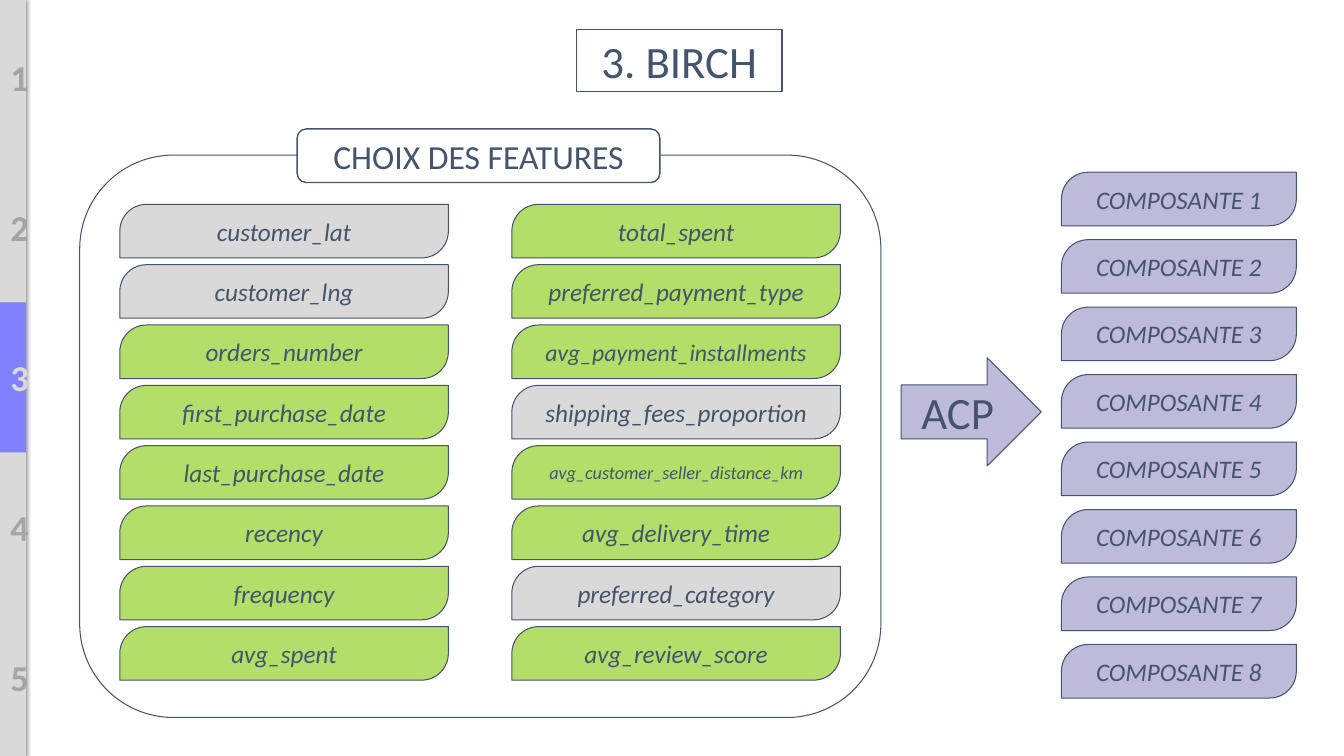
from lxml import etree
from pptx import Presentation
from pptx import util as u
from pptx.dml.color import RGBColor
from pptx.enum import shapes, text
from pptx.oxml import ns

COLORS = {
    "ink": "44546A",
    "white": "FFFFFF",
    "grey": "D9D9D9",
    "number": "A5A5A5",
    "active": "8181FF",
    "green": "B3DE69",
    "lilac": "BEBADA",
}
FONT = "Calibri"
GEOMETRY = shapes.MSO_SHAPE

FEATURES = [
    ["customer_lat", "customer_lng", "orders_number", "first_purchase_date",
     "last_purchase_date", "recency", "frequency", "avg_spent"],
    ["total_spent", "preferred_payment_type", "avg_payment_installments",
     "shipping_fees_proportion", "avg_customer_seller_distance_km",
     "avg_delivery_time", "preferred_category", "avg_review_score"],
]
REJECTED = {"customer_lat", "customer_lng", "shipping_fees_proportion",
            "preferred_category"}
SMALLER = {"avg_payment_installments": 17, "avg_customer_seller_distance_km": 13}


class Deck:
    def __init__(self):
        self.prs = Presentation()
        self.prs.slide_width = u.Cm(33.87)
        self.prs.slide_height = u.Cm(19.05)
        self.slide = self.prs.slides.add_slide(self.prs.slide_layouts[5])

    def color(self, name):
        return RGBColor.from_string(COLORS[name])

    def label(self, sp, words, size, color="ink", bold=False, italic=False):
        tf = sp.text_frame
        tf.text = words
        tf.word_wrap = True
        tf.auto_size = text.MSO_AUTO_SIZE.NONE
        p = tf.paragraphs[0]
        p.alignment = text.PP_ALIGN.CENTER
        p.font.name = FONT
        p.font.size = u.Pt(size)
        p.font.bold = bold
        p.font.italic = italic
        p.font.color.rgb = self.color(color)
        return tf

    def paint(self, sp, fill, line):
        sp.fill.solid()
        sp.fill.fore_color.rgb = self.color(fill)
        if line:
            sp.line.color.rgb = self.color("ink")
            sp.line.width = u.Pt(line)
        else:
            sp.line.fill.background()

    def title(self, box, words):
        sp = self.slide.shapes.title
        sp.left, sp.top, sp.width, sp.height = map(u.Cm, box)
        geom = etree.SubElement(sp._element.spPr, ns.qn("a:prstGeom"), prst="roundRect")
        etree.SubElement(geom, ns.qn("a:avLst"))
        self.paint(sp, "white", 1)
        tf = self.label(sp, words, 32)
        tf.vertical_anchor = text.MSO_ANCHOR.MIDDLE

    def shape(self, kind, box, fill, line=0.75, words=None, size=18, italic=False):
        sp = self.slide.shapes.add_shape(kind, *map(u.Cm, box))
        sp.shadow.inherit = False
        self.paint(sp, fill, line)
        if words:
            tf = self.label(sp, words, size, italic=italic)
            tf.vertical_anchor = text.MSO_ANCHOR.MIDDLE
        return sp

    def tag(self, box, fill, words, size=18):
        sp = self.shape(GEOMETRY.ROUND_2_DIAG_RECTANGLE, box, fill,
                        words=words, size=size, italic=True)
        sp.adjustments[0] = 0.5
        sp.adjustments[1] = 0

    def number(self, box, words, color):
        sp = self.slide.shapes.add_textbox(*map(u.Cm, box))
        self.label(sp, words, 26, color, bold=True)

    def glow(self, sp):
        effects = sp._element.spPr.find(ns.qn("a:effectLst"))
        shadow = etree.SubElement(effects, ns.qn("a:outerShdw"),
                                  blurRad=str(u.Pt(3)), dist="0", dir="0")
        tint = etree.SubElement(shadow, ns.qn("a:srgbClr"), val="000000")
        etree.SubElement(tint, ns.qn("a:alpha"), val="50000")


def main():
    deck = Deck()
    bar = deck.shape(GEOMETRY.RECTANGLE, (0, 0, 0.66, 19.05), "grey", line=None)
    deck.glow(bar)
    deck.shape(GEOMETRY.RECTANGLE, (0, 7.62, 0.66, 3.78), "active", line=None)
    for i in range(5):
        deck.number((0.01, 1.27 + 3.78 * i, 0.64, 1.37), str(i + 1),
                    "grey" if i == 2 else "number")

    deck.title((14.53, 0.74, 5.18, 1.57), "3. BIRCH")
    deck.shape(GEOMETRY.ROUNDED_RECTANGLE, (2.01, 3.91, 20.19, 14.17), "white")
    deck.shape(GEOMETRY.ROUNDED_RECTANGLE, (7.49, 3.25, 9.14, 1.35), "white",
               line=1, words="CHOIX DES FEATURES", size=24)

    for left, names in zip((3.02, 12.9), FEATURES):
        for row, name in enumerate(names):
            deck.tag((left, 5.15 + 1.52 * row, 8.28, 1.35),
                     "grey" if name in REJECTED else "green",
                     name, SMALLER.get(name, 18))

    deck.shape(GEOMETRY.RIGHT_ARROW, (22.71, 9.02, 3.53, 2.72), "lilac",
               words="ACP", size=32)
    for row in range(8):
        deck.tag((26.75, 4.34 + 1.7 * row, 5.92, 1.35), "lilac",
                 f"COMPOSANTE {row + 1}")
    deck.prs.save("out.pptx")


if __name__ == "__main__":
    main()
